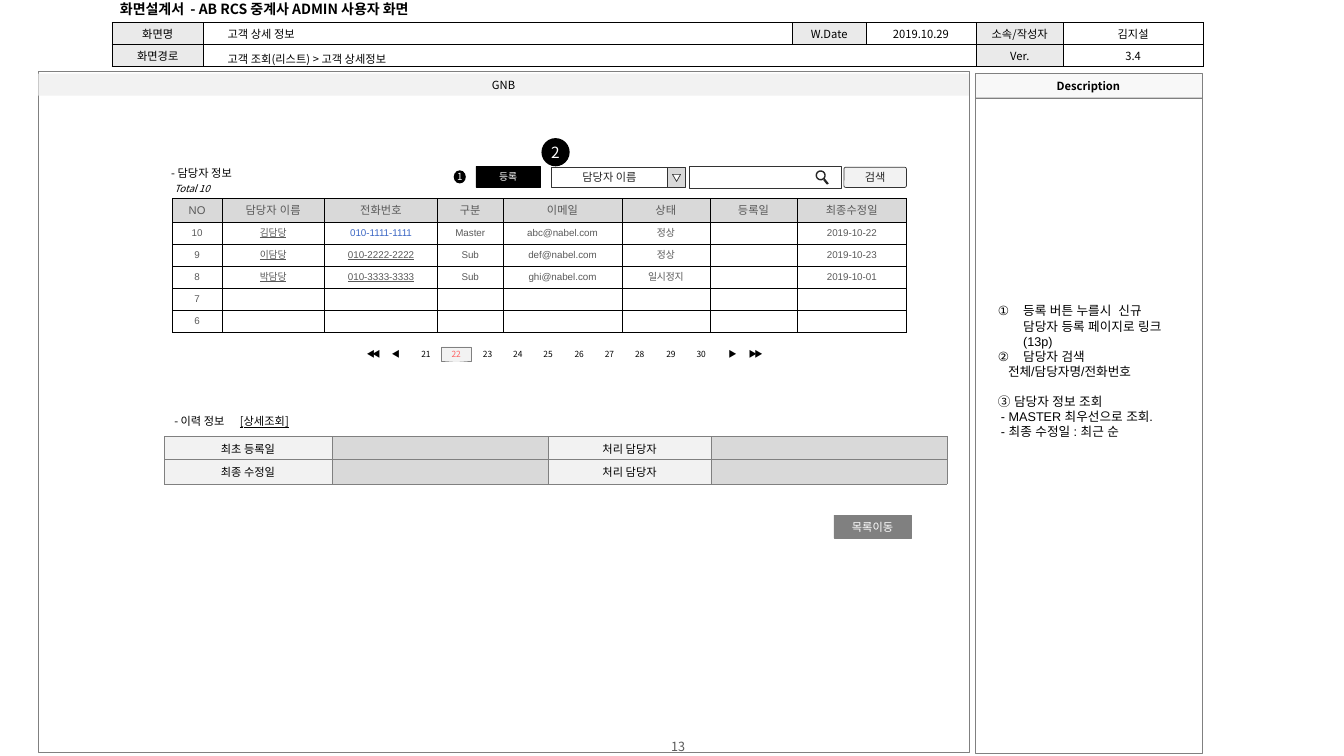
from math import cos, pi, sin

from lxml import etree
from pptx import Presentation
from pptx.dml.color import RGBColor
from pptx.enum.shapes import MSO_SHAPE
from pptx.enum.text import MSO_ANCHOR, PP_ALIGN
from pptx.oxml.ns import qn
from pptx.util import Pt

PX = 9144  # 100 px to the inch
RECT, ROUND = MSO_SHAPE.RECTANGLE, MSO_SHAPE.ROUNDED_RECTANGLE
OVAL, TRI = MSO_SHAPE.OVAL, MSO_SHAPE.ISOSCELES_TRIANGLE
LEFT, MID = PP_ALIGN.LEFT, PP_ALIGN.CENTER
NOTO, ARIAL = "Noto Sans CJK KR", "Arial"
HEX = {
    "black": "000000", "white": "FFFFFF", "text": "595959", "ink": "262626",
    "edge": "333333", "mid": "808080", "gray": "D9D9D9", "label": "EAEAEA",
    "pale": "F2F2F2", "head": "F8F8F8", "blue": "3B66C4", "red": "FF6060",
}
RGB = {name: RGBColor.from_string(code) for name, code in HEX.items()}

deck = Presentation()
deck.slide_width, deck.slide_height = 1333 * PX, 750 * PX
slide = deck.slides.add_slide(deck.slide_layouts[6])
shapes = slide.shapes


def write(par, text, tint="black", size=8, name=NOTO, **form):
    """Append one formatted run to a paragraph."""
    run = par.add_run()
    run.text = text
    for key, val in {"size": Pt(size), "name": name, **form}.items():
        setattr(run.font, key, val)
    run.font.color.rgb = RGB[tint]
    etree.SubElement(run._r.get_or_add_rPr(), qn("a:ea"), typeface=name)
    return run


def add(kind, box, text="", fill=None, line=None, width=0.25, align=MID, pad=0, **form):
    """Add a preset shape, or a text box when kind is None."""
    place = [n * PX for n in box]
    if kind is None:
        item = shapes.add_textbox(*place)
    else:
        item = shapes.add_shape(kind, *place)
        item.shadow.inherit = False
        if fill:
            item.fill.solid()
            item.fill.fore_color.rgb = RGB[fill]
        else:
            item.fill.background()
        if line:
            item.line.color.rgb = RGB[line]
            item.line.width = Pt(width)
        else:
            item.line.fill.background()
    frame = item.text_frame
    look = {"word_wrap": True, "vertical_anchor": MSO_ANCHOR.MIDDLE,
            "margin_left": pad * PX, "margin_right": pad * PX,
            "margin_top": 0, "margin_bottom": 0}
    for key, val in look.items():
        setattr(frame, key, val)
    frame.paragraphs[0].alignment = align
    if text:
        write(frame.paragraphs[0], text, **form)
    return item


# Page frame
add(None, (517, 734, 311, 13), "13", tint="text", size=9)
add(RECT, (38, 71, 923, 675), line="mid")
add(None, (110, -4, 347, 26), "화면설계서  - AB RCS 중계사 ADMIN 사용자 화면",
    align=LEFT, pad=9, size=10, bold=True)
add(RECT, (967, 96, 225, 651), line="mid")
add(RECT, (967, 73, 225, 24), "Description", "head", "mid", bold=True)
add(RECT, (38, 73, 923, 22), "GNB", "pale")

# Tables: left, top, column widths, row heights, border, font, tint, sizes, fills, cells
tables = [
    (111, 22, [91, 584, 73, 109, 87, 138], [22, 22], "black", NOTO, "black", [8, 8],
     [["label", "white"] * 3] * 2,
     [["화면명", "", "W.Date", "2019.10.29", "소속/작성자", "김지설"],
      ["화면경로", "", "", "", "Ver.", "3.4"]]),
    (171, 197, [49, 102, 112, 65, 118, 87, 87, 108], [23] + [22] * 5,
     "black", ARIAL, "text", [8] + [7] * 5,
     [["gray"] * 8] + [["white"] * 8] * 5,
     [["NO", "담당자 이름", "전화번호", "구분", "이메일", "상태", "등록일", "최종수정일"],
      ["10", "김담당", "010-1111-1111", "Master", "abc@nabel.com", "정상", "", "2019-10-22"],
      ["9", "이담당", "010-2222-2222", "Sub", "def@nabel.com", "정상", "", "2019-10-23"],
      ["8", "박담당", "010-3333-3333", "Sub", "ghi@nabel.com", "일시정지", "", "2019-10-01"],
      ["7"] + [""] * 7,
      ["6"] + [""] * 7]),
    (163, 433, [166, 215, 161, 234], [23, 24], "mid", NOTO, "black", [8, 8],
     [["pale", "gray"] * 2] * 2,
     [["최초 등록일", "", "처리 담당자", ""],
      ["최종 수정일", "", "처리 담당자", ""]]),
]
links = {"김담당", "이담당", "박담당", "010-2222-2222", "010-3333-3333"}
grids = []
for left, top, cols, rows, edge, font, tint, sizes, fills, cells in tables:
    grid = shapes.add_table(len(rows), len(cols), left * PX, top * PX,
                            sum(cols) * PX, sum(rows) * PX).table
    grid.first_row = grid.horz_banding = False
    grids.append(grid)
    for col, wide in zip(grid.columns, cols):
        col.width = wide * PX
    for r, high in enumerate(rows):
        grid.rows[r].height = high * PX
        for c, text in enumerate(cells[r]):
            cell = grid.cell(r, c)
            cell.vertical_anchor = MSO_ANCHOR.MIDDLE
            cell.margin_top = cell.margin_bottom = 2 * PX
            cell.margin_left = cell.margin_right = 4 * PX
            for side in ("lnL", "lnR", "lnT", "lnB"):
                rim = etree.SubElement(cell._tc.get_or_add_tcPr(), qn("a:" + side), w="3175")
                solid = etree.SubElement(rim, qn("a:solidFill"))
                etree.SubElement(solid, qn("a:srgbClr"), val=HEX[edge])
            cell.fill.solid()
            cell.fill.fore_color.rgb = RGB[fills[r][c]]
            par = cell.text_frame.paragraphs[0]
            par.alignment = MID
            if text:
                write(par, text, "blue" if text == "010-1111-1111" else tint,
                      sizes[r], font, underline=text in links)
            else:
                etree.SubElement(par._p, qn("a:endParaRPr"), sz=str(sizes[r] * 100))
grids[0].cell(1, 1).merge(grids[0].cell(1, 3))

# Captions
for x, y, wide, high, text, form in [
    (216, 22, 314, 24, "고객 상세 정보", {}),
    (216, 47, 314, 24, "고객 조회(리스트) > 고객 상세정보", {}),
    (160, 160, 142, 24, "- 담당자 정보", {}),
    (163, 176, 142, 22, "Total 10", {"size": 7, "italic": True}),
]:
    add(None, (x, y, wide, high), text, align=LEFT, pad=10, **form)

past = add(None, (163, 406, 142, 24), align=LEFT, pad=10).text_frame.paragraphs[0]
tabs = etree.SubElement(past._p.get_or_add_pPr(), qn("a:tabLst"))
etree.SubElement(tabs, qn("a:tab"), pos=str(65 * PX), algn="l")
write(past, "- 이력 정보\t")
write(past, "[상세조회]", underline=True)

# Search bar
find = add(ROUND, (837, 166, 62, 20), "검색", "pale", "edge", 0.5, tint="ink")
find.adjustments[0] = 0.09
add(RECT, (684, 165, 151, 22), "", "white", "edge", 0.5)
add(RECT, (547, 166, 115, 20), "담당자 이름", "white", "edge", 0.5, tint="ink")
add(RECT, (662, 166, 18, 20), "", "gray", "edge", 0.5)
add(TRI, (667, 173, 8, 7), "", "white", "edge", 0.5).rotation = 180

rings = [[(814 + rad * cos(k * pi / 16), 174 + rad * sin(k * pi / 16)) for k in range(32)]
         for rad in (5, 3.6)]
grip = [(818, 177), (816, 178), (820, 183), (821, 183), (822, 182)]
pen = None
for loop in (*rings, grip):
    dots = [(x * PX, y * PX) for x, y in loop]
    if pen is None:
        pen = shapes.build_freeform(*dots[0])
    else:
        pen.move_to(*dots[0])
    pen.add_line_segments(dots[1:], close=True)
lens = pen.convert_to_shape()
lens.shadow.inherit = False
lens.fill.solid()
lens.fill.fore_color.rgb = RGB["ink"]
lens.line.fill.background()

# Buttons and markers
add(RECT, (827, 511, 77, 23), "목록이동", "mid", "mid", tint="white")
add(RECT, (472, 165, 64, 21), "등록", "black", "black", tint="white", size=7)
add(OVAL, (450, 169, 12, 13), "1", "black", tint="white", size=7)
add(OVAL, (537, 137, 28, 28), "2", "black", tint="white", size=11)

# Pager
for k in range(10):
    here = k == 1
    add(RECT, (408 + round(30.33 * k), 344, 29, 14), str(21 + k),
        "pale" if here else "white", "mid" if here else None,
        tint="red" if here else "black", size=6)
for x, mark in [(356, "◀◀"), (378, "◀"), (712, "▶"), (735, "▶▶")]:
    jump = add(None, (x, 344, 29, 14), mark, size=6)
    if len(mark) > 1:
        jump.text_frame.paragraphs[0].runs[0]._r.get_or_add_rPr().set("spc", "-190")

# Description: text, left margin, numbered, space before
notes = add(None, (980, 301, 197, 202), align=LEFT, pad=10).text_frame
notes.vertical_anchor = MSO_ANCHOR.TOP
for k, (text, inset, count, gap) in enumerate([
    ("등록 버튼 누를시  신규 담당자 등록 페이지로 링크 (13p)", 25, True, 0),
    ("담당자 검색", 25, True, 0),
    ("전체/담당자명/전화번호", 10, False, 0),
    ("③ 담당자 정보 조회", 0, False, 10.8),
    ("- MASTER 최우선으로 조회.", 3, False, 0),
    ("- 최종 수정일 : 최근 순", 3, False, 0),
]):
    par = notes.add_paragraph() if k else notes.paragraphs[0]
    props = par._p.get_or_add_pPr()
    props.set("marL", str(inset * PX))
    if count:
        props.set("indent", str(-inset * PX))
        etree.SubElement(props, qn("a:buAutoNum"), type="circleNumDbPlain")
    par.line_spacing = Pt(10.8)
    if gap:
        par.space_before = Pt(gap)
    write(par, text, size=9, name=ARIAL)

deck.save("out.pptx")
